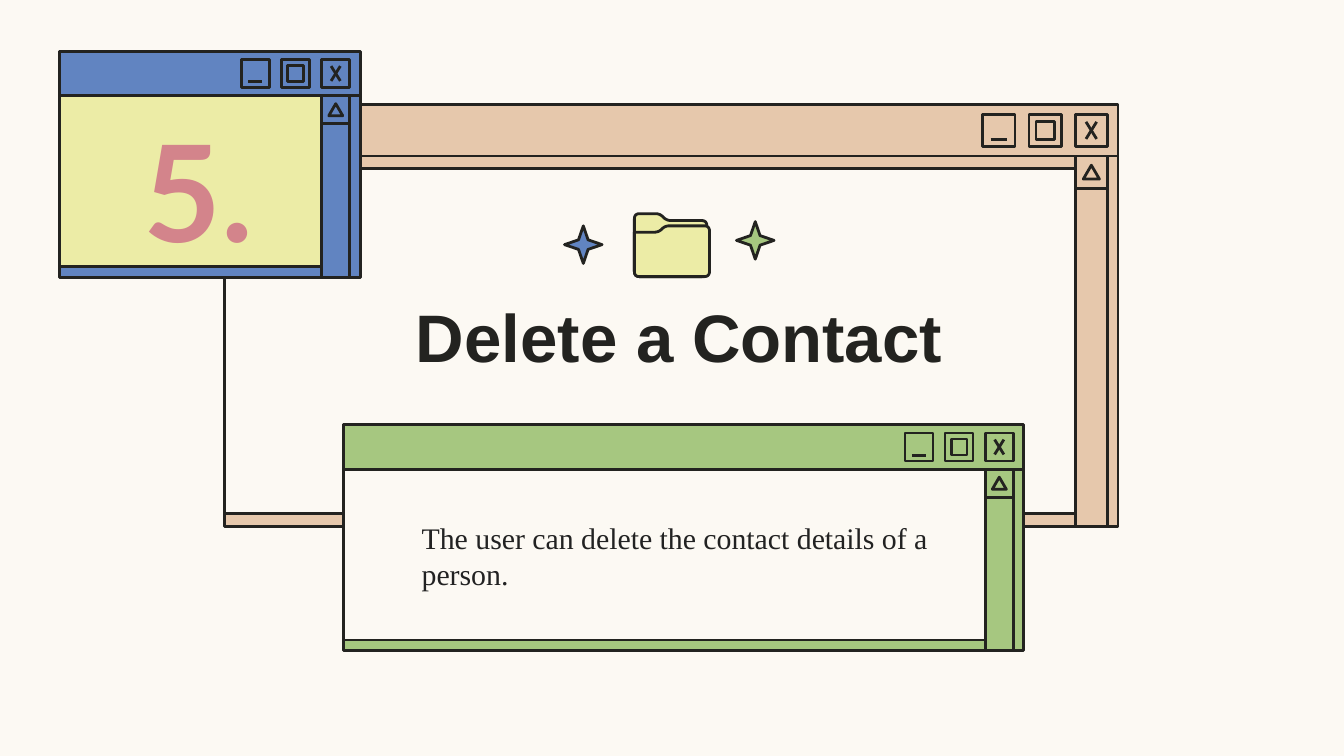
"""Build the "Delete a Contact" slide with its three retro windows."""
import math

import lxml.etree
import pptx
import pptx.dml.color
import pptx.enum.shapes
import pptx.enum.text
import pptx.oxml.ns
import pptx.util

Cm = pptx.util.Cm
SHAPES = pptx.enum.shapes.MSO_SHAPE
ALIGN = pptx.enum.text.PP_ALIGN

COLORS = {
    "paper": "FCF9F3", "ink": "232320", "peach": "E6C8AC", "green": "A6C780",
    "blue": "6184C1", "yellow": "ECECA6", "rose": "D3848B", "body": "222222",
}
WINDOWS = [
    dict(box=(4.24, 1.98, 16.89, 7.98), bar=0.97, button=0.61,
         strips=(0.23, 0.25), frame="peach", pane="paper"),
    dict(box=(6.5, 8.03, 12.85, 4.27), bar=0.84, button=0.53,
         strips=(0, 0.2), frame="green", pane="paper"),
    dict(box=(1.12, 0.97, 5.69, 4.27), bar=0.84, button=0.53,
         strips=(0, 0.2), frame="blue", pane="yellow"),
]
TEXTS = [
    dict(text="Delete a Contact", box=(6.93, 5.24, 11.81, 2.21), size=36,
         font="Arial", color="ink", bold=True, align=ALIGN.CENTER, indent=0),
    dict(text="5.", box=(1.8, 2.39, 3.91, 2.34), size=72,
         font="Lato", color="rose", bold=True, align=ALIGN.CENTER, indent=0),
    dict(text="The user can delete the contact details of a person.",
         box=(6.45, 9.17, 11.48, 2.67), size=16, font="Times New Roman",
         color="body", bold=False, align=ALIGN.LEFT, indent=1.27),
]
STARS = [((10.67, 4.27), "blue"), ((13.92, 4.19), "green")]
STAR_SIZE = 0.71
FOLDER = [
    [(11.99, 4.04, 0.1), (12.47, 4.04, 0.08), (12.6, 4.17, 0.08),
     (13.36, 4.17, 0.1), (13.36, 5.23, 0.1), (11.99, 5.23, 0.1)],
    [(11.99, 4.39, 0), (12.45, 4.39, 0.08), (12.57, 4.27, 0.08),
     (13.41, 4.27, 0.1), (13.41, 5.23, 0.1), (11.99, 5.23, 0.1)],
]
EDGE = 0.2
BUTTON_PITCH = 1.43
LINE_WIDTH = 1.5


def rgb(name):
    return pptx.dml.color.RGBColor.from_string(COLORS[name])


def outline(part, fill=None):
    part.shadow.inherit = False
    if fill:
        part.fill.solid()
        part.fill.fore_color.rgb = rgb(fill)
    else:
        part.fill.background()
    part.line.color.rgb = rgb("ink")
    part.line.width = pptx.util.Pt(LINE_WIDTH)
    return part


def add_part(shapes, kind, box, fill=None):
    return outline(shapes.add_shape(kind, *map(Cm, box)), fill)


def add_stroke(shapes, *ends):
    stroke = shapes.add_connector(
        pptx.enum.shapes.MSO_CONNECTOR.STRAIGHT, *map(Cm, ends))
    stroke.line.color.rgb = rgb("ink")
    stroke.line.width = pptx.util.Pt(LINE_WIDTH)
    properties = stroke.element.find(pptx.oxml.ns.qn("p:spPr"))
    lxml.etree.SubElement(properties, pptx.oxml.ns.qn("a:effectLst"))


def centred(x, y, size, width, height):
    """Return a box in the middle of a square, sized as shares of it."""
    return (x + size * (1 - width) / 2, y + size * (1 - height) / 2,
            size * width, size * height)


def add_window(shapes, box, bar, button, strips, frame, pane):
    x, y, width, height = box
    body = y + bar
    bottom = y + height
    scroll = x + width - EDGE - button
    top_strip, bottom_strip = strips
    rect = SHAPES.RECTANGLE

    add_part(shapes, rect, (x, y, width, bar), frame)
    add_part(shapes, rect, (x, body, width, height - bar), frame)
    add_part(shapes, rect, (x, body + top_strip, scroll - x,
                            height - bar - top_strip - bottom_strip), pane)
    add_part(shapes, rect, (scroll, body, button, bottom - body), frame)
    add_part(shapes, rect, (scroll, body, button, button))
    add_part(shapes, SHAPES.ISOSCELES_TRIANGLE,
             centred(scroll, body, button, 0.5, 0.43))

    button_y = y + (bar - button) / 2
    minimise, maximise, close = (
        scroll - step * BUTTON_PITCH * button for step in (2, 1, 0))
    for left in (minimise, maximise, close):
        add_part(shapes, rect, (left, button_y, button, button))
    floor = button_y + 0.79 * button
    add_stroke(shapes, minimise + 0.24 * button, floor,
               minimise + 0.74 * button, floor)
    add_part(shapes, rect, centred(maximise, button_y, button, 0.57, 0.57))
    left, top, wide, high = centred(close, button_y, button, 0.33, 0.53)
    add_stroke(shapes, left, top, left + wide, top + high)
    add_stroke(shapes, left + wide, top, left, top + high)


def rounded(corners, steps=6):
    """Return outline points with every corner (x, y, radius) rounded off."""
    points = []
    for i, (x, y, radius) in enumerate(corners):
        if not radius:
            points.append((x, y))
            continue
        ends = []
        for nx, ny, _ in (corners[i - 1], corners[(i + 1) % len(corners)]):
            share = radius / math.hypot(nx - x, ny - y)
            ends.append((x + (nx - x) * share, y + (ny - y) * share))
        (ax, ay), (bx, by) = ends
        for t in (step / steps for step in range(steps + 1)):
            a, c, b = (1 - t) ** 2, 2 * t * (1 - t), t ** 2
            points.append((a * ax + c * x + b * bx, a * ay + c * y + b * by))
    return points


def add_folder(shapes):
    for corners in FOLDER:
        start, *rest = [(Cm(x), Cm(y)) for x, y in rounded(corners)]
        builder = shapes.build_freeform(*start)
        builder.add_line_segments(rest, close=True)
        outline(builder.convert_to_shape(), "yellow")


def add_text(shapes, text, box, size, font, color, bold, align, indent):
    frame = shapes.add_textbox(*map(Cm, box)).text_frame
    frame.word_wrap = True
    frame.vertical_anchor = pptx.enum.text.MSO_ANCHOR.MIDDLE
    frame.margin_left = Cm(0.25 + indent)
    frame.margin_right = frame.margin_top = frame.margin_bottom = Cm(0.25)
    paragraph = frame.paragraphs[0]
    paragraph.alignment = align
    run = paragraph.add_run()
    run.text = text
    run.font.size = pptx.util.Pt(size)
    run.font.name = font
    run.font.bold = bold
    run.font.color.rgb = rgb(color)


def main():
    deck = pptx.Presentation()
    deck.slide_width, deck.slide_height = Cm(25.4), Cm(14.29)
    slide = deck.slides.add_slide(deck.slide_layouts[6])
    slide.background.fill.solid()
    slide.background.fill.fore_color.rgb = rgb("paper")
    shapes = slide.shapes
    for window in WINDOWS:
        add_window(shapes, **window)
    for text in TEXTS:
        add_text(shapes, **text)
    for corner, color in STARS:
        star = add_part(shapes, SHAPES.STAR_4_POINT,
                        (*corner, STAR_SIZE, STAR_SIZE), color)
        star.adjustments[0] = 0.18
    add_folder(shapes)
    deck.save("out.pptx")


if __name__ == "__main__":
    main()
